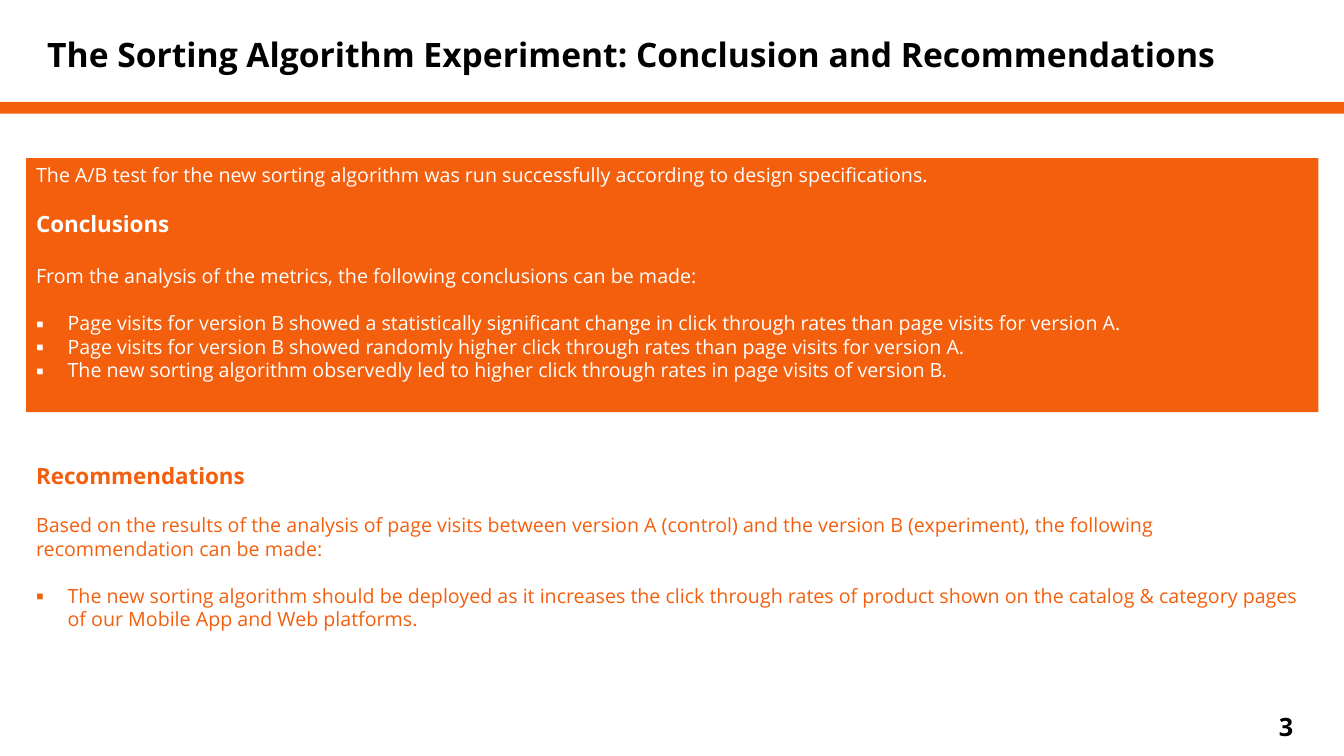
import pptx
import pptx.dml.color
import pptx.enum.shapes
import pptx.enum.text
import pptx.oxml.ns
import pptx.util
from lxml import etree

Pt = pptx.util.Pt
FONT = "Open Sans"
ORANGE, WHITE, BLACK = "F35F0D", "FFFFFF", "000000"
SLIDE_W, SLIDE_H = 960, 540
PANEL_LEFT, PANEL_W = 18.72, 923

# Text, size, bold, bulleted, space before
CONCLUSIONS = [
    ("The A/B test for the new sorting algorithm was run successfully according to design specifications.",
     14, False, False, 0),
    ("Conclusions", 16, True, False, 16.8),
    ("From the analysis of the metrics, the following conclusions can be made:", 14, False, False, 19.2),
    ("Page visits for version B showed a statistically significant change in click through rates "
     "than page visits for version A.", 14, False, True, 16.8),
    ("Page visits for version B showed randomly higher click through rates than page visits for version A.",
     14, False, True, 0),
    ("The new sorting algorithm observedly led to higher click through rates in page visits of version B.",
     14, False, True, 0),
]
RECOMMENDATIONS = [
    ("Recommendations", 16, True, False, 0),
    ("Based on the results of the analysis of page visits between version A (control) and the version B "
     "(experiment), the following recommendation can be made:", 14, False, False, 16.8),
    ("The new sorting algorithm should be deployed as it increases the click through rates of product shown "
     "on the catalog & category pages of our Mobile App and Web platforms.", 14, False, True, 16.8),
]


def rgb(color):
    return pptx.dml.color.RGBColor.from_string(color)


def add_bullet(paragraph, color):
    properties = paragraph._p.get_or_add_pPr()
    properties.set("marL", str(Pt(22.5)))
    properties.set("indent", str(-Pt(22.5)))
    qn = pptx.oxml.ns.qn
    bullet_color = etree.SubElement(properties, qn("a:buClr"))
    etree.SubElement(bullet_color, qn("a:srgbClr"), val=color)
    etree.SubElement(properties, qn("a:buFont"), typeface=FONT)
    etree.SubElement(properties, qn("a:buChar"), char="▪")


def write_paragraphs(frame, entries, color):
    frame.word_wrap = True
    frame.vertical_anchor = pptx.enum.text.MSO_ANCHOR.TOP
    frame.text = "\n".join(entry[0] for entry in entries)
    for paragraph, (_, size, bold, bulleted, gap) in zip(frame.paragraphs, entries):
        paragraph.alignment = pptx.enum.text.PP_ALIGN.LEFT
        paragraph.space_before = Pt(gap)
        if bulleted:
            add_bullet(paragraph, color)
        for run in paragraph.runs:
            run.font.name = FONT
            run.font.size = Pt(size)
            run.font.bold = bold
            run.font.color.rgb = rgb(color)


def add_block(slide, left, top, width, height):
    block = slide.shapes.add_shape(pptx.enum.shapes.MSO_SHAPE.RECTANGLE,
                                   Pt(left), Pt(top), Pt(width), Pt(height))
    block.shadow.inherit = False
    block.fill.solid()
    block.fill.fore_color.rgb = rgb(ORANGE)
    block.line.fill.background()
    return block


def add_text(slide, left, top, width, height, entries, color):
    box = slide.shapes.add_textbox(Pt(left), Pt(top), Pt(width), Pt(height))
    write_paragraphs(box.text_frame, entries, color)


def add_header(slide, left, top, width, height):
    # Orange rule under the title
    add_block(slide, left, top + height - 8.5, width, 8.5)
    add_text(slide, left + 26.64, top + 20.88, width - 67, 36,
             [("The Sorting Algorithm Experiment: Conclusion and Recommendations", 24, True, False, 0)], BLACK)


def add_conclusions(slide, left, top, width, height):
    panel = add_block(slide, left, top, width, height)
    write_paragraphs(panel.text_frame, CONCLUSIONS, WHITE)


def add_recommendations(slide, left, top, width, height):
    add_text(slide, left, top, width, height, RECOMMENDATIONS, ORANGE)


def add_page_number(slide, left, top, width, height):
    add_text(slide, left, top, width, height, [("3", 18, True, False, 0)], BLACK)


def main():
    deck = pptx.Presentation()
    deck.slide_width, deck.slide_height = Pt(SLIDE_W), Pt(SLIDE_H)
    slide = deck.slides.add_slide(deck.slide_layouts[6])
    add_header(slide, 0, 0, SLIDE_W, 81.2)
    add_conclusions(slide, PANEL_LEFT, 113, PANEL_W, 181.5)
    add_recommendations(slide, PANEL_LEFT, 326.9, PANEL_W, 145.4)
    add_page_number(slide, 906.5, 504.7, 36.7, 29.5)
    deck.save("out.pptx")


if __name__ == "__main__":
    main()
